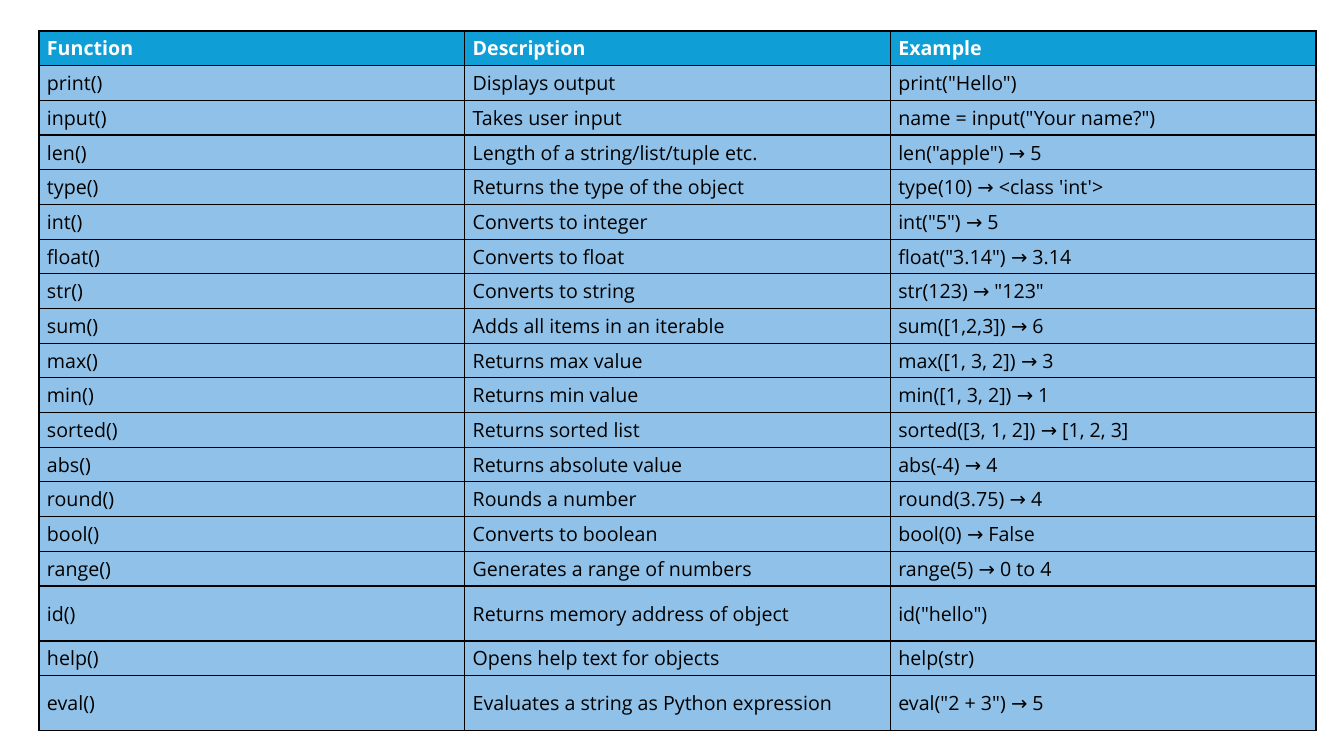
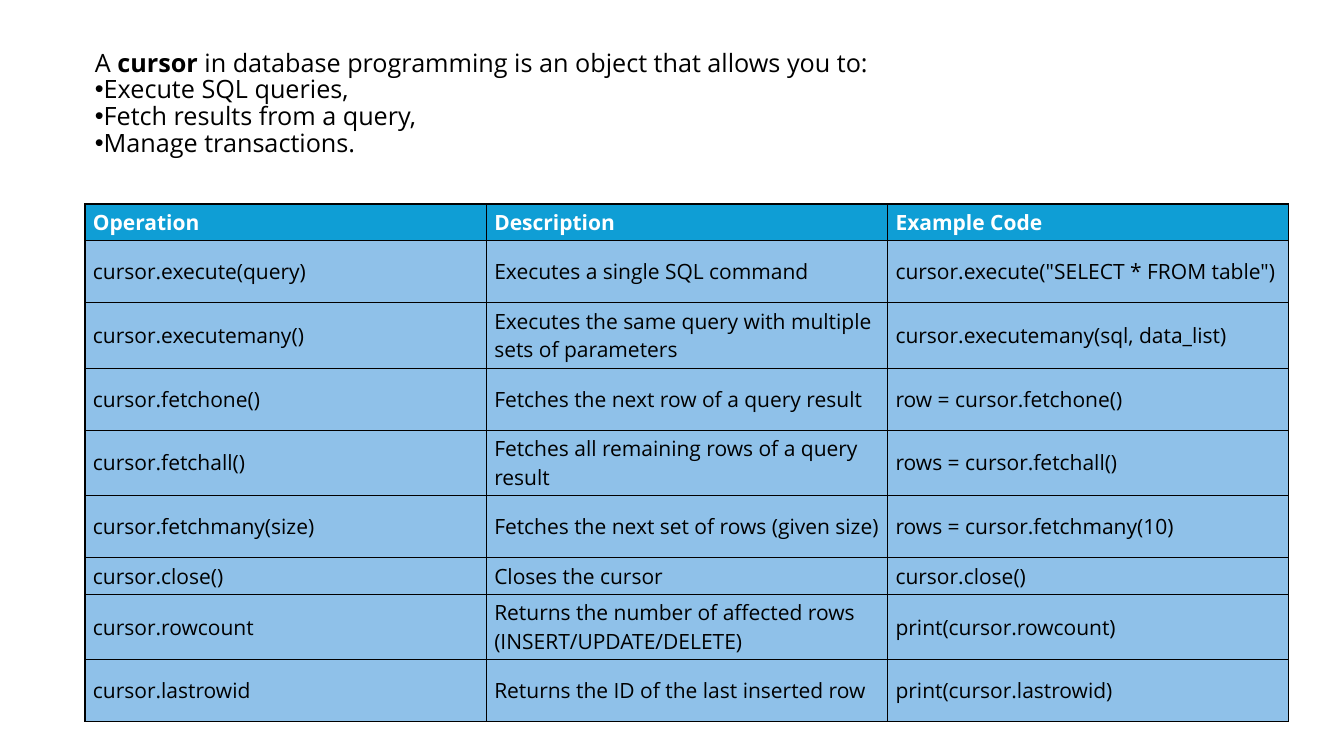
from dataclasses import dataclass

from lxml.etree import SubElement as Sub
from pptx import Presentation
from pptx.dml.color import RGBColor as Rgb
from pptx.enum.text import MSO_ANCHOR as Anchor
from pptx.oxml.ns import qn
from pptx.util import Emu, Pt


@dataclass(frozen=True)
class Theme:
    font: str = "Open Sans"
    ink: str = "000000"
    header_ink: str = "FFFFFF"
    header_fill: str = "0F9ED5"
    body_fill: str = "8FC1E9"
    intro_size: int = 18
    functions_size: int = 14
    cursor_size: int = 15
    border: int = 1
    intro_spacing: float = 0.88


class Deck:
    """Hold the theme and current slide, and draw tables and text on it."""

    EMU_PER_PX = 914400 / 100.8

    def __init__(self, theme, width, height):
        self.theme = theme
        self.prs = Presentation()
        self.prs.slide_width, self.prs.slide_height = self.px(width), self.px(height)
        self.slide = None

    def px(self, length):
        return Emu(round(length * self.EMU_PER_PX))

    def new_slide(self):
        self.slide = self.prs.slides.add_slide(self.prs.slide_layouts[6])

    def style_run(self, run, size, color, bold=False):
        run.font.name = self.theme.font
        run.font.size = Pt(size)
        run.font.bold = bold
        run.font.color.rgb = Rgb.from_string(color)

    def add_borders(self, cell):
        properties = cell._tc.get_or_add_tcPr()
        for side in ("a:lnL", "a:lnR", "a:lnT", "a:lnB"):
            line = Sub(properties, qn(side), w=str(Pt(self.theme.border)))
            fill = Sub(line, qn("a:solidFill"))
            Sub(fill, qn("a:srgbClr"), val=self.theme.ink)

    def fill_cell(self, cell, text, size, is_header):
        theme = self.theme
        cell.text_frame.text = text
        cell.vertical_anchor = Anchor.MIDDLE
        cell.margin_left = cell.margin_right = self.px(8)
        cell.margin_top = cell.margin_bottom = self.px(4)
        ink = theme.header_ink if is_header else theme.ink
        self.style_run(cell.text_frame.paragraphs[0].runs[0], size, ink, is_header)
        self.add_borders(cell)
        cell.fill.solid()
        cell.fill.fore_color.rgb = Rgb.from_string(
            theme.header_fill if is_header else theme.body_fill)

    def table(self, left, top, width, rows, size, low, high, is_high):
        heights = [high if is_high(row) else low for row in rows]
        box = map(self.px, (left, top, width, sum(heights)))
        grid = self.slide.shapes.add_table(len(rows), len(rows[0]), *box).table
        grid.horz_banding = False
        for column in grid.columns:
            column.width = self.px(width / len(rows[0]))
        for row_index, (row, height) in enumerate(zip(rows, heights)):
            grid.rows[row_index].height = self.px(height)
            for column_index, text in enumerate(row):
                self.fill_cell(grid.cell(row_index, column_index), text, size,
                               row_index == 0)

    def intro(self, left, top, width, height, lead, bullets):
        box = map(self.px, (left, top, width, height))
        frame = self.slide.shapes.add_textbox(*box).text_frame
        frame.word_wrap = True
        opening = frame.paragraphs[0]
        for text, bold in lead:
            run = opening.add_run()
            run.text = text
            self.style_run(run, self.theme.intro_size, self.theme.ink, bold)
        opening.line_spacing = self.theme.intro_spacing
        for text in bullets:
            item = frame.add_paragraph()
            item.text = text
            item.line_spacing = self.theme.intro_spacing
            self.style_run(item.runs[0], self.theme.intro_size, self.theme.ink)
            properties = item._p.get_or_add_pPr()
            Sub(properties, qn("a:buFont"), typeface="Arial")
            Sub(properties, qn("a:buChar"), char="•")


FUNCTIONS = [
    ("Function", "Description", "Example"),
    ("print()", "Displays output", 'print("Hello")'),
    ("input()", "Takes user input", 'name = input("Your name?")'),
    ("len()", "Length of a string/list/tuple etc.", 'len("apple") → 5'),
    ("type()", "Returns the type of the object", "type(10) → <class 'int'>"),
    ("int()", "Converts to integer", 'int("5") → 5'),
    ("float()", "Converts to float", 'float("3.14") → 3.14'),
    ("str()", "Converts to string", 'str(123) → "123"'),
    ("sum()", "Adds all items in an iterable", "sum([1,2,3]) → 6"),
    ("max()", "Returns max value", "max([1, 3, 2]) → 3"),
    ("min()", "Returns min value", "min([1, 3, 2]) → 1"),
    ("sorted()", "Returns sorted list", "sorted([3, 1, 2]) → [1, 2, 3]"),
    ("abs()", "Returns absolute value", "abs(-4) → 4"),
    ("round()", "Rounds a number", "round(3.75) → 4"),
    ("bool()", "Converts to boolean", "bool(0) → False"),
    ("range()", "Generates a range of numbers", "range(5) → 0 to 4"),
    ("id()", "Returns memory address of object", 'id("hello")'),
    ("help()", "Opens help text for objects", "help(str)"),
    ("eval()", "Evaluates a string as Python expression", 'eval("2 + 3") → 5'),
]

CURSOR_OPERATIONS = [
    ("Operation", "Description", "Example Code"),
    ("cursor.execute(query)", "Executes a single SQL command",
     'cursor.execute("SELECT * FROM table")'),
    ("cursor.executemany()", "Executes the same query with multiple sets of parameters",
     "cursor.executemany(sql, data_list)"),
    ("cursor.fetchone()", "Fetches the next row of a query result",
     "row = cursor.fetchone()"),
    ("cursor.fetchall()", "Fetches all remaining rows of a query result",
     "rows = cursor.fetchall()"),
    ("cursor.fetchmany(size)", "Fetches the next set of rows (given size)",
     "rows = cursor.fetchmany(10)"),
    ("cursor.close()", "Closes the cursor", "cursor.close()"),
    ("cursor.rowcount", "Returns the number of affected rows (INSERT/UPDATE/DELETE)",
     "print(cursor.rowcount)"),
    ("cursor.lastrowid", "Returns the ID of the last inserted row",
     "print(cursor.lastrowid)"),
]

CURSOR_LEAD = [
    ("A ", False),
    ("cursor", True),
    (" in database programming is an object that allows you to:", False),
]
CURSOR_USES = ["Execute SQL queries,", "Fetch results from a query,", "Manage transactions."]


def main():
    theme = Theme()
    deck = Deck(theme, 1344, 756)

    deck.new_slide()
    deck.table(39, 31, 1277, FUNCTIONS, theme.functions_size, 31, 55,
               lambda row: row[0] in ("id()", "eval()"))

    deck.new_slide()
    deck.table(85, 204, 1204, CURSOR_OPERATIONS, theme.cursor_size, 35, 62,
               lambda row: row[0] not in ("Operation", "cursor.close()"))
    deck.intro(85, 46, 1204, 132, CURSOR_LEAD, CURSOR_USES)

    deck.prs.save("out.pptx")


if __name__ == "__main__":
    main()
